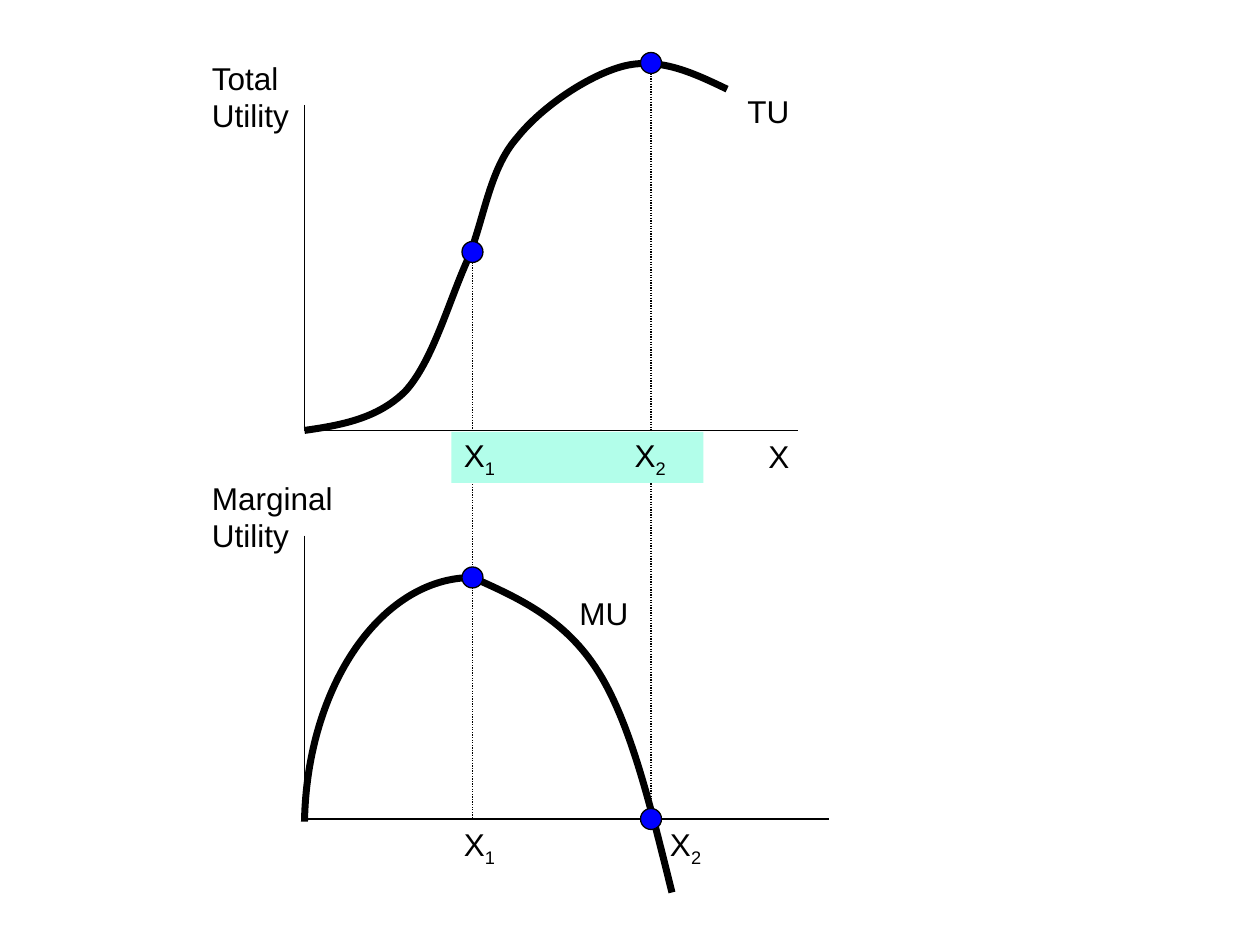
from lxml import etree
from pptx import Presentation, util as u
from pptx.dml.color import RGBColor
from pptx.enum import dml, shapes, text
from pptx.oxml.ns import qn

PX = 9525  # 96 px to the inch
BLACK = RGBColor(0x00, 0x00, 0x00)
BLUE = RGBColor(0x00, 0x00, 0xFF)
MINT = RGBColor(0xB2, 0xFE, 0xEA)

# Shared positions, in px
ORIGIN_X, X1, X2 = 232, 360, 496
TOTAL_BASE, MARGINAL_BASE = 328, 624
TOTAL_PEAK, MARGINAL_PEAK, INFLECTION = 48, 440, 192
DOT = 16

AXES = [
    (ORIGIN_X, 80, ORIGIN_X, TOTAL_BASE),
    (ORIGIN_X, TOTAL_BASE, 608, TOTAL_BASE),
    (ORIGIN_X, 408, ORIGIN_X, MARGINAL_BASE),
    (ORIGIN_X, MARGINAL_BASE, 632, MARGINAL_BASE),
]
GUIDES = [(X1, INFLECTION, X1, MARGINAL_BASE), (X2, TOTAL_PEAK, X2, MARGINAL_BASE)]
DOTS = [(X1, INFLECTION), (X2, MARGINAL_BASE), (X1, MARGINAL_PEAK), (X2, TOTAL_PEAK)]

# Cubic curves: a start point, then two control points and an end point per segment
CURVES = [
    [(232, 328), (260, 324), (288, 319), (309, 298), (329, 276), (341, 233), (355, 201),
     (369, 169), (372, 130), (394, 105), (414, 80), (451, 56), (477, 50),
     (504, 44), (529, 56), (554, 68)],
    [(360, 440), (291, 440), (234, 522), (232, 626)],
    [(360, 440), (396, 456), (431, 472), (456, 512), (481, 552), (496, 616), (512, 680)],
]

# Box, wrap, words
LABELS = [
    ((576, 328, 40, 38), True, "X"),
    ((152, 40, 80, 67), True, "Total Utility"),
    ((152, 360, 112, 67), True, "Marginal Utility"),
    ((560, 65, 51, 38), False, "TU"),
    ((432, 448, 57, 38), False, "MU"),
]
# Box, tab position of the second X, fill
X_LABELS = [((344, 329, 192, 39), 130, MINT), ((344, 624, 216, 39), 157, None)]


def emu(*lengths):
    return [round(length * PX) for length in lengths]


def add_line(slide, ends, dash=None):
    line = slide.shapes.add_connector(shapes.MSO_CONNECTOR.STRAIGHT, *emu(*ends))
    line.line.color.rgb = BLACK
    line.line.width = u.Pt(0.75)
    if dash:
        line.line.dash_style = dash
    etree.SubElement(line._element.spPr, qn("a:effectLst"))


def add_curve(slide, points):
    builder = slide.shapes.build_freeform(*points[0], scale=PX)
    builder.add_line_segments(points[1:], close=False)
    shape = builder.convert_to_shape()
    # Join each three line segments into one cubic segment
    segments = list(shape._element.iter(qn("a:lnTo")))
    for i in range(0, len(segments), 3):
        cubic = etree.Element(qn("a:cubicBezTo"))
        segments[i].addprevious(cubic)
        for segment in segments[i:i + 3]:
            cubic.append(segment[0])
            segment.getparent().remove(segment)
    shape.shadow.inherit = False
    shape.fill.background()
    shape.line.color.rgb = BLACK
    shape.line.width = u.Pt(4)


def add_text(slide, box, wrap, runs, tab=None, fill=None):
    if fill is None:
        shape = slide.shapes.add_textbox(*emu(*box))
    else:
        shape = slide.shapes.add_shape(shapes.MSO_SHAPE.RECTANGLE, *emu(*box))
        shape.shadow.inherit = False
        shape.fill.solid()
        shape.fill.fore_color.rgb = fill
        shape.line.fill.background()
    frame = shape.text_frame
    frame.word_wrap = wrap
    frame.auto_size = text.MSO_AUTO_SIZE.SHAPE_TO_FIT_TEXT
    frame.vertical_anchor = text.MSO_ANCHOR.MIDDLE if fill else text.MSO_ANCHOR.TOP
    paragraph = frame.paragraphs[0]
    paragraph.alignment = text.PP_ALIGN.LEFT
    if tab:
        tabs = etree.SubElement(paragraph._p.get_or_add_pPr(), qn("a:tabLst"))
        etree.SubElement(tabs, qn("a:tab"), pos=str(emu(tab)[0]), algn="l")
    for words, subscript in runs:
        run = paragraph.add_run()
        run.text = words
        run.font.name = "Arial"
        run.font.size = u.Pt(18)
        run.font.color.rgb = BLACK
        if subscript:
            run._r.get_or_add_rPr().set("baseline", "-25000")


def main():
    presentation = Presentation()
    presentation.slide_width, presentation.slide_height = u.Inches(10), u.Inches(7.5)
    slide = presentation.slides.add_slide(presentation.slide_layouts[6])

    # Axes, dotted guides and curves
    for ends in AXES:
        add_line(slide, ends)
    for ends in GUIDES:
        add_line(slide, ends, dml.MSO_LINE.ROUND_DOT)
    for points in CURVES:
        add_curve(slide, points)

    # Labels
    for box, wrap, words in LABELS:
        add_text(slide, box, wrap, [(words, False)])
    for box, tab, fill in X_LABELS:
        runs = [("X", False), ("1", True), ("\tX", False), ("2", True)]
        add_text(slide, box, True, runs, tab, fill)

    # Key points
    for x, y in DOTS:
        dot = slide.shapes.add_shape(shapes.MSO_SHAPE.OVAL,
                                     *emu(x - DOT / 2, y - DOT / 2, DOT, DOT))
        dot.shadow.inherit = False
        dot.fill.solid()
        dot.fill.fore_color.rgb = BLUE
        dot.line.color.rgb = BLACK
        dot.line.width = u.Pt(0.75)

    presentation.save("out.pptx")


if __name__ == "__main__":
    main()
